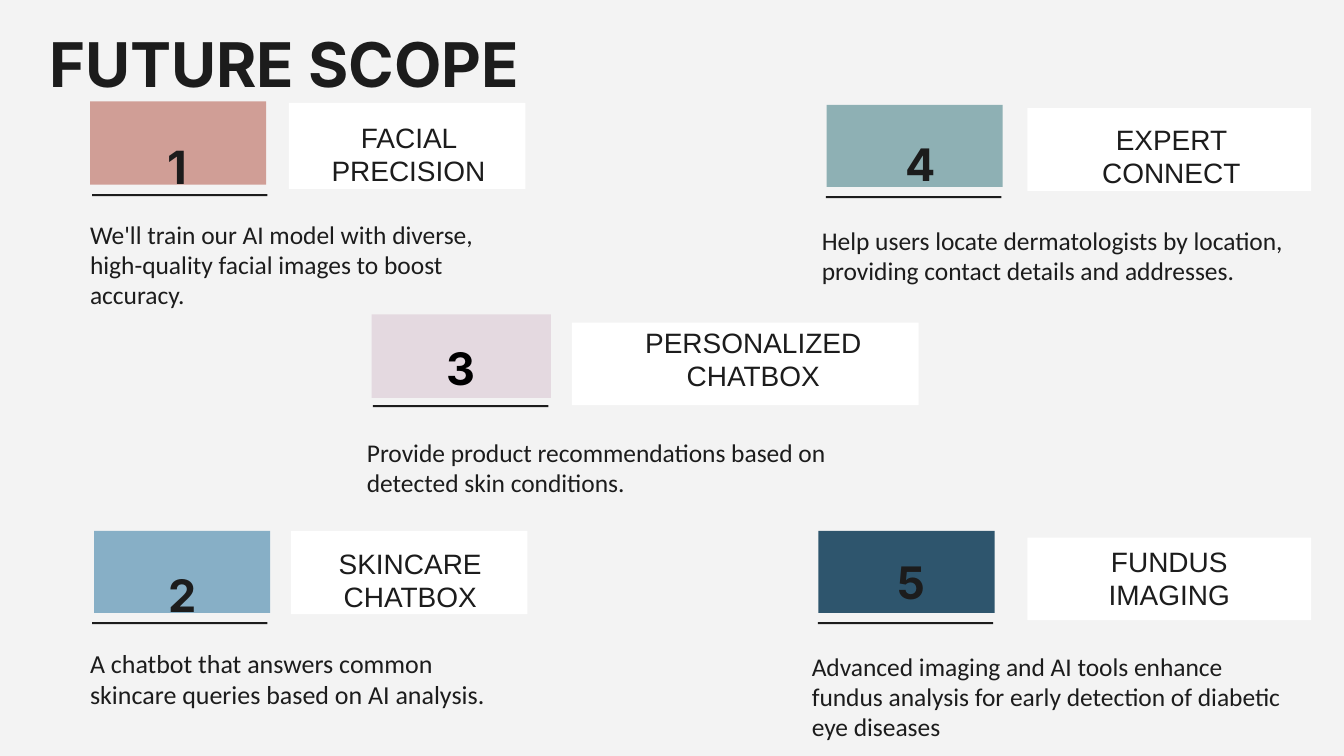
from dataclasses import dataclass

from pptx import Presentation
from pptx.dml.color import RGBColor
from pptx.enum.shapes import MSO_SHAPE
from pptx.enum.text import MSO_AUTO_SIZE, PP_ALIGN
from pptx.util import Emu, Pt

RECTANGLE = MSO_SHAPE.RECTANGLE
GROW = MSO_AUTO_SIZE.SHAPE_TO_FIT_TEXT
LEFT, CENTER = PP_ALIGN.LEFT, PP_ALIGN.CENTER
EMU_PER_PX = 9144
SLIDE_WIDTH, SLIDE_HEIGHT = 2000, 1125
RULE_WIDTH, RULE_HEIGHT = 261, 3


@dataclass(frozen=True)
class TextStyle:
    font: str
    size: float
    leading: float
    bold: bool = False
    align: PP_ALIGN = LEFT


@dataclass(frozen=True)
class Theme:
    background: str = "F3F3F3"
    ink: str = "1C1C1C"
    black: str = "000000"
    panel: str = "FFFFFF"
    rose: str = "D09E96"
    sky: str = "87AFC6"
    lilac: str = "E4D9E0"
    sage: str = "8EB0B4"
    navy: str = "2E556D"
    title: TextStyle = TextStyle("Inter", 66, 1.4, bold=True)
    number: TextStyle = TextStyle("Inter", 48, 1.4, bold=True)
    first_number: TextStyle = TextStyle("Inter", 49, 1.4, bold=True)
    heading: TextStyle = TextStyle("Arial", 30, 1.173, align=CENTER)
    detail: TextStyle = TextStyle("Calibri", 27.3, 1.18)
    large_detail: TextStyle = TextStyle("Calibri", 27.8, 1.187)


THEME = Theme()


@dataclass(frozen=True)
class Goal:
    number: str
    heading: str
    detail: str
    tile_color: str
    tile: tuple
    rule: tuple
    panel: tuple
    number_box: tuple
    heading_box: tuple
    detail_box: tuple
    number_color: str = THEME.ink
    number_style: TextStyle = THEME.number
    detail_style: TextStyle = THEME.detail


GOALS = [
    Goal("3", "PERSONALIZED CHATBOX",
         "Provide product recommendations based on detected skin conditions.",
         THEME.lilac, tile=(553, 468, 267, 124), rule=(555, 603),
         panel=(851, 480, 516, 123), number_box=(664, 494, 45, 90),
         heading_box=(957, 485, 328, 99), detail_box=(546, 651, 708, 94),
         number_color=THEME.black),
    Goal("4", "EXPERT CONNECT",
         "Help users locate dermatologists by location, "
         "providing contact details and addresses.",
         THEME.sage, tile=(1230, 156, 262, 122), rule=(1229, 292),
         panel=(1529, 161, 422, 123), number_box=(1347, 190, 46, 90),
         heading_box=(1632, 183, 222, 98), detail_box=(1223, 335, 712, 94)),
    Goal("1", "FACIAL PRECISION",
         "We'll train our AI model with diverse, "
         "high-quality facial images to boost accuracy.",
         THEME.rose, tile=(134, 151, 262, 124), rule=(137, 289),
         panel=(430, 153, 352, 128), number_box=(249, 193, 33, 89),
         heading_box=(491, 180, 234, 99), detail_box=(134, 327, 579, 140),
         number_style=THEME.first_number),
    Goal("2", "SKINCARE CHATBOX",
         "A chatbot that answers common skincare queries based on AI analysis.",
         THEME.sky, tile=(140, 790, 262, 122), rule=(137, 926),
         panel=(433, 790, 352, 124), number_box=(251, 832, 43, 88),
         heading_box=(502, 814, 217, 99), detail_box=(134, 964, 605, 89),
         detail_style=THEME.large_detail),
    Goal("5", "FUNDUS IMAGING",
         "Advanced imaging and AI tools enhance fundus analysis "
         "for early detection of diabetic eye diseases",
         THEME.navy, tile=(1218, 790, 262, 122), rule=(1217, 926),
         panel=(1529, 800, 422, 123), number_box=(1336, 812, 46, 90),
         heading_box=(1629, 812, 222, 98), detail_box=(1208, 970, 712, 132)),
]


def px(length):
    return Emu(length * EMU_PER_PX)


def add_block(slide, box, color):
    block = slide.shapes.add_shape(RECTANGLE, *map(px, box))
    block.shadow.inherit = False
    block.fill.solid()
    block.fill.fore_color.rgb = RGBColor.from_string(color)
    block.line.fill.background()


def add_text(slide, box, text, style, color=THEME.ink):
    frame = slide.shapes.add_textbox(*map(px, box)).text_frame
    frame.margin_left = frame.margin_top = 0
    frame.margin_right = frame.margin_bottom = 0
    frame.word_wrap = True
    frame.auto_size = GROW
    paragraph = frame.paragraphs[0]
    paragraph.text = text
    paragraph.alignment = style.align
    paragraph.line_spacing = Pt(round(style.size * style.leading, 1))
    paragraph.font.name = style.font
    paragraph.font.size = Pt(style.size)
    paragraph.font.bold = style.bold
    paragraph.font.color.rgb = RGBColor.from_string(color)


def add_goal(slide, goal):
    add_block(slide, goal.tile, goal.tile_color)
    add_block(slide, (*goal.rule, RULE_WIDTH, RULE_HEIGHT), THEME.ink)
    add_block(slide, goal.panel, THEME.panel)
    add_text(slide, goal.number_box, goal.number, goal.number_style, goal.number_color)
    add_text(slide, goal.heading_box, goal.heading, THEME.heading)
    add_text(slide, goal.detail_box, goal.detail, goal.detail_style)


def main():
    deck = Presentation()
    deck.slide_width, deck.slide_height = px(SLIDE_WIDTH), px(SLIDE_HEIGHT)
    slide = deck.slides.add_slide(deck.slide_layouts[6])
    slide.background.fill.solid()
    slide.background.fill.fore_color.rgb = RGBColor.from_string(THEME.background)
    add_text(slide, (73, 20, 716, 124), "FUTURE SCOPE", THEME.title)
    for goal in GOALS:
        add_goal(slide, goal)
    deck.save("out.pptx")


if __name__ == "__main__":
    main()
